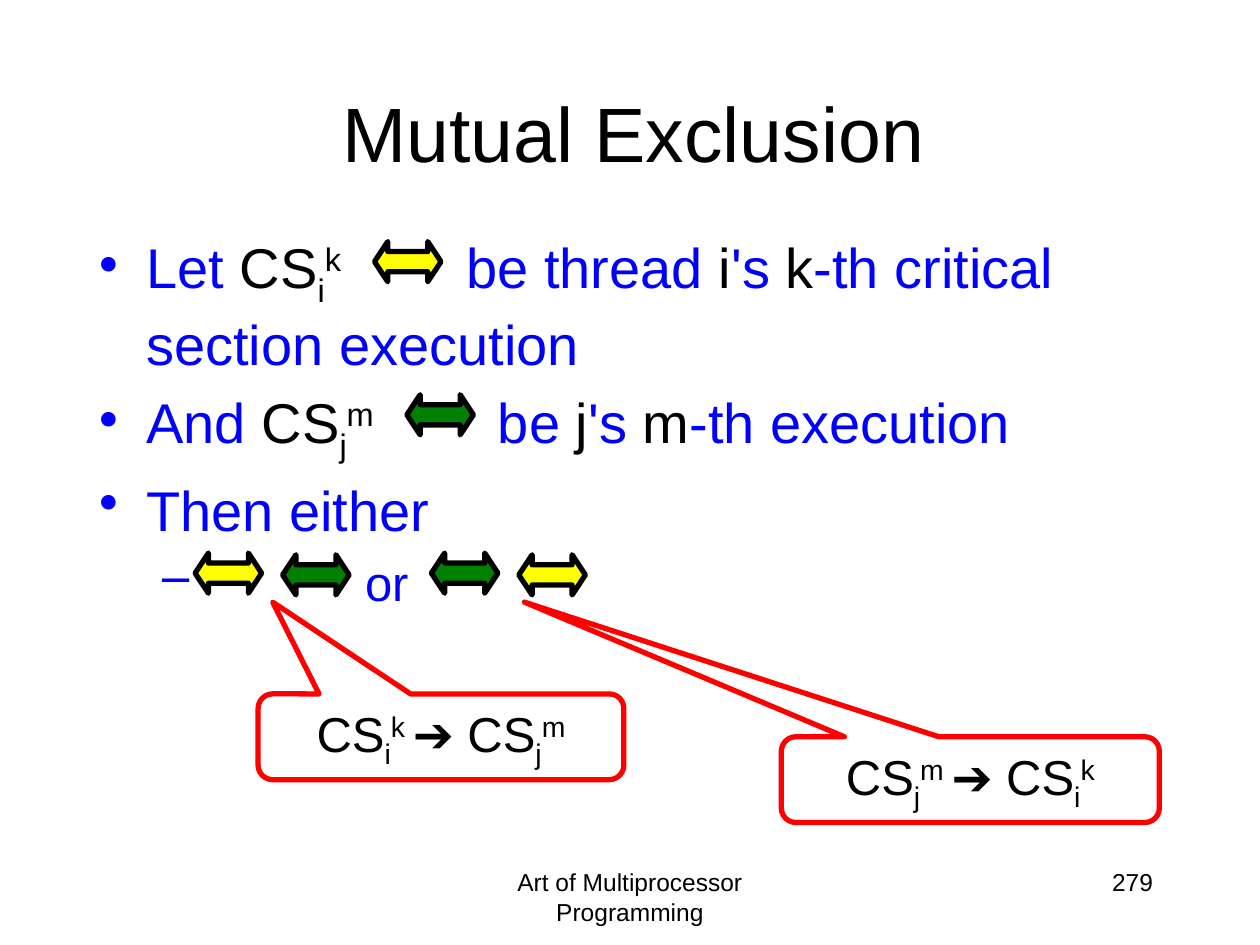
from lxml import etree
from pptx import Presentation
from pptx.dml.color import RGBColor
from pptx.enum.shapes import MSO_SHAPE
from pptx.enum.text import MSO_ANCHOR, PP_ALIGN
from pptx.oxml.ns import qn
from pptx.util import Pt

CENTER, RIGHT, LEFT = PP_ALIGN.CENTER, PP_ALIGN.RIGHT, PP_ALIGN.LEFT
TOP, MIDDLE = MSO_ANCHOR.TOP, MSO_ANCHOR.MIDDLE
ARROW, CALLOUT = MSO_SHAPE.LEFT_RIGHT_ARROW, MSO_SHAPE.ROUNDED_RECTANGULAR_CALLOUT
BLACK, BLUE, RED = "000000", "0000FF", "FF0000"
YELLOW, GREEN = "FFFF00", "008000"
SUB, SUP = -25000, 30000


def rgb(value):
    return RGBColor.from_string(value)


def add_runs(p, runs, size):
    for text, color, baseline in runs:
        r = p.add_run()
        r.text = text
        r.font.name = "Arial"
        r.font.size = Pt(size)
        r.font.color.rgb = rgb(color)
        if baseline:
            r._r.get_or_add_rPr().set("baseline", str(baseline))


prs = Presentation()
prs.slide_width, prs.slide_height = Pt(720), Pt(540)
s = prs.slides.add_slide(prs.slide_layouts[6])

for text, x, y, w, h, size, align, anchor in [
    ("Art of Multiprocessor Programming", 246, 492, 228, 36, 14, CENTER, TOP),
    ("279", 516, 492, 150, 36, 14, RIGHT, TOP),
    ("Mutual Exclusion", 56, 30, 612, 90, 44, CENTER, MIDDLE),
]:
    tf = s.shapes.add_textbox(Pt(x), Pt(y), Pt(w), Pt(h)).text_frame
    tf.word_wrap = True
    tf.vertical_anchor = anchor
    p = tf.paragraphs[0]
    p.alignment = align
    add_runs(p, [(text, BLACK, 0)], size)

cs_i = [("CS", BLACK, 0), ("i", BLACK, SUB), ("k", BLACK, SUP)]
cs_j = [("CS", BLACK, 0), ("j", BLACK, SUB), ("m", BLACK, SUP)]
bullets = [
    (0, 210, [("Let ", BLUE, 0), *cs_i, ("\tbe thread ", BLUE, 0), ("i", BLACK, 0),
              ("'s ", BLUE, 0), ("k", BLACK, 0), ("-th critical section execution", BLUE, 0)]),
    (0, 228, [("And ", BLUE, 0), *cs_j, ("\tbe ", BLUE, 0), ("j", BLACK, 0),
              ("'s ", BLUE, 0), ("m", BLACK, 0), ("-th execution", BLUE, 0)]),
    (0, None, [("Then either", BLUE, 0)]),
    (1, 152, [("\tor", BLUE, 0)]),
]
levels = [("•", 27, -27, 32), ("–", 58.5, -22.5, 28)]

tf = s.shapes.add_textbox(Pt(49.5), Pt(129.5), Pt(650), Pt(327)).text_frame
tf.word_wrap = True
for i, (level, tab, runs) in enumerate(bullets):
    mark, margin, indent, size = levels[level]
    p = tf.paragraphs[0] if i == 0 else tf.add_paragraph()
    p.level = level
    pPr = p._p.get_or_add_pPr()
    pPr.set("marL", str(Pt(margin)))
    pPr.set("indent", str(Pt(indent)))
    etree.SubElement(pPr, qn("a:buChar")).set("char", mark)
    if tab:
        tabs = etree.SubElement(pPr, qn("a:tabLst"))
        etree.SubElement(tabs, qn("a:tab"), pos=str(Pt(tab)), algn="l")
    p.alignment = LEFT
    if i:
        p.space_before = Pt(size * 0.2)
    add_runs(p, runs, size)

for x, y, color in [
    (111.5, 316, YELLOW), (161.5, 317, GREEN),
    (214, 138, YELLOW), (232.5, 225.5, GREEN),
    (246.5, 316, GREEN), (296.5, 317, YELLOW),
]:
    sp = s.shapes.add_shape(ARROW, Pt(x), Pt(y), Pt(38), Pt(23))
    sp.shadow.inherit = False
    sp.rotation = 180
    sp.adjustments[0], sp.adjustments[1] = 0.5, 0.33
    sp.fill.solid()
    sp.fill.fore_color.rgb = rgb(color)
    sp.line.color.rgb = rgb(BLACK)
    sp.line.width = Pt(3)

for x, y, w, tip_x, tip_y, first, second in [
    (147.5, 396.5, 209, -0.46, -1.57, cs_i, cs_j),
    (446.5, 421, 216, -1.18, -2.07, cs_j, cs_i),
]:
    sp = s.shapes.add_shape(CALLOUT, Pt(x), Pt(y), Pt(w), Pt(49))
    sp.shadow.inherit = False
    sp.adjustments[0], sp.adjustments[1], sp.adjustments[2] = tip_x, tip_y, 0.17
    sp.fill.background()
    sp.line.color.rgb = rgb(RED)
    sp.line.width = Pt(3)
    tf = sp.text_frame
    tf.vertical_anchor = MIDDLE
    p = tf.paragraphs[0]
    p.alignment = CENTER
    add_runs(p, [*first, (" ", BLACK, SUP), ("➔ ", BLACK, 0), *second], 28)

prs.save("out.pptx")
